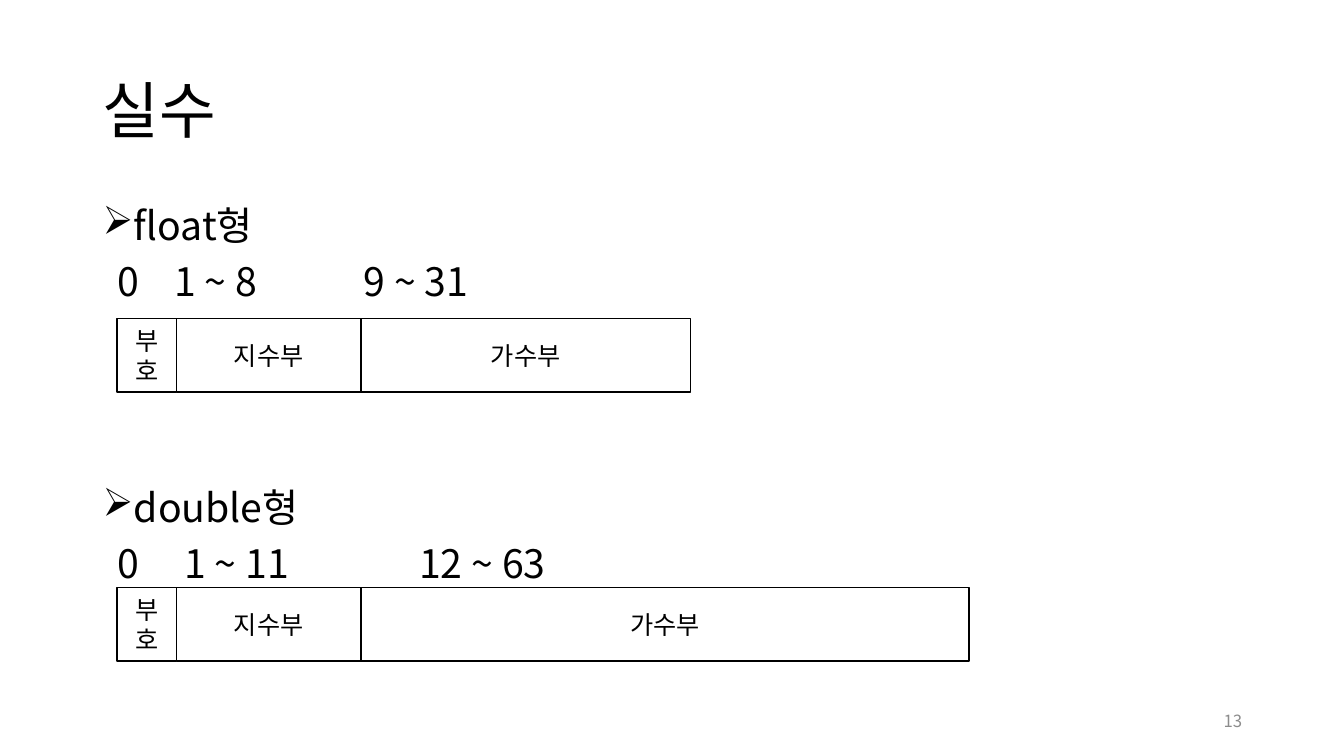
import pptx
import pptx.dml.color
import pptx.enum.shapes
import pptx.enum.text
import pptx.oxml.ns
import pptx.util
from lxml import etree

WIDTH, HEIGHT = 13.33, 7.5
FONT = "Noto Sans CJK KR"
COLORS = {"text": "000000", "fill": "FFFFFF", "line": "000000", "number": "8C8C8C"}
ALIGN = pptx.enum.text.PP_ALIGN
ANCHOR = pptx.enum.text.MSO_ANCHOR

# Page margins, and the bit-field columns shared by both number types
MARGIN, CONTENT_WIDTH = 0.92, 11.5
FIELD_LEFT, FIELD_HEIGHT = 1.16, 0.73
SIGN_WIDTH, EXPONENT_WIDTH = 0.59, 1.83
FIELD_NAMES = ["부호", "지수부", "가수부"]

# Each type: name, bit ranges, their tab stops, gap above, field top, mantissa width
NUMBER_TYPES = [
    ("float형", ["0", "1 ~ 8", "9 ~ 31"], [0.15, 0.71, 2.59], 10, 3.16, 3.27),
    ("double형", ["0", "1 ~ 11", "12 ~ 63"], [0.15, 0.81, 3.14], 131, 5.83, 6.03),
]


def rgb(name):
    return pptx.dml.color.RGBColor.from_string(COLORS[name])


def apply(target, values):
    for name, value in values.items():
        setattr(target, name, value)


def add_child(parent, tag, **attributes):
    child = etree.SubElement(parent, pptx.oxml.ns.qn(tag))
    for name, value in attributes.items():
        child.set(name, str(value))
    return child


def write(paragraph, text, size, color="text", **layout):
    apply(paragraph, layout)
    run = paragraph.add_run()
    run.text = text
    apply(run.font, {"size": pptx.util.Pt(size), "name": FONT})
    run.font.color.rgb = rgb(color)
    add_child(run.font._element, "a:ea", typeface=FONT)


def add_text_box(slide, left, top, width, height, anchor=ANCHOR.MIDDLE):
    box = slide.shapes.add_textbox(*map(pptx.util.Inches, (left, top, width, height)))
    apply(box.text_frame, {"word_wrap": True, "vertical_anchor": anchor})
    return box.text_frame


def add_bullet(paragraph):
    properties = paragraph._p.get_or_add_pPr()
    indent = pptx.util.Inches(0.25)
    properties.set("marL", str(indent))
    properties.set("indent", str(-indent))
    add_child(properties, "a:buChar", char="➢")


def add_tab_stops(paragraph, stops):
    tab_list = add_child(paragraph._p.get_or_add_pPr(), "a:tabLst")
    for stop in stops:
        add_child(tab_list, "a:tab", pos=pptx.util.Inches(stop), algn="l")


def add_type_text(frame, name, ranges, stops, gap):
    first = frame.paragraphs[0]
    heading = frame.add_paragraph() if first.runs else first
    write(heading, name, 28, line_spacing=0.9, space_before=pptx.util.Pt(gap))
    add_bullet(heading)
    positions = frame.add_paragraph()
    write(positions, "".join("\t" + bits for bits in ranges), 28,
          line_spacing=0.9, space_before=pptx.util.Pt(10))
    add_tab_stops(positions, stops)


def add_fields(slide, top, mantissa_width):
    left = FIELD_LEFT
    for name, width in zip(FIELD_NAMES, [SIGN_WIDTH, EXPONENT_WIDTH, mantissa_width]):
        field = slide.shapes.add_shape(
            pptx.enum.shapes.MSO_SHAPE.RECTANGLE,
            *map(pptx.util.Inches, (left, top, width, FIELD_HEIGHT)))
        field.shadow.inherit = False
        field.fill.solid()
        field.fill.fore_color.rgb = rgb("fill")
        field.line.color.rgb = rgb("line")
        field.line.width = pptx.util.Pt(1)
        apply(field.text_frame, {"word_wrap": True, "vertical_anchor": ANCHOR.MIDDLE})
        write(field.text_frame.paragraphs[0], name, 18, alignment=ALIGN.CENTER)
        left += width


def main():
    presentation = pptx.Presentation()
    apply(presentation, {"slide_width": pptx.util.Inches(WIDTH),
                         "slide_height": pptx.util.Inches(HEIGHT)})
    slide = presentation.slides.add_slide(presentation.slide_layouts[6])

    # Title
    title = add_text_box(slide, MARGIN, 0.4, CONTENT_WIDTH, 1.45)
    write(title.paragraphs[0], "실수", 44, line_spacing=0.9)

    # Type names and bit ranges
    body = add_text_box(slide, MARGIN, 2, CONTENT_WIDTH, 4.76, ANCHOR.TOP)
    for name, ranges, stops, gap, top, mantissa_width in NUMBER_TYPES:
        add_type_text(body, name, ranges, stops, gap)
        add_fields(slide, top, mantissa_width)

    # Page number
    number = add_text_box(slide, MARGIN + CONTENT_WIDTH - 3, 6.95, 3, 0.4)
    write(number.paragraphs[0], "13", 12, "number", alignment=ALIGN.RIGHT)

    presentation.save("out.pptx")


if __name__ == "__main__":
    main()
